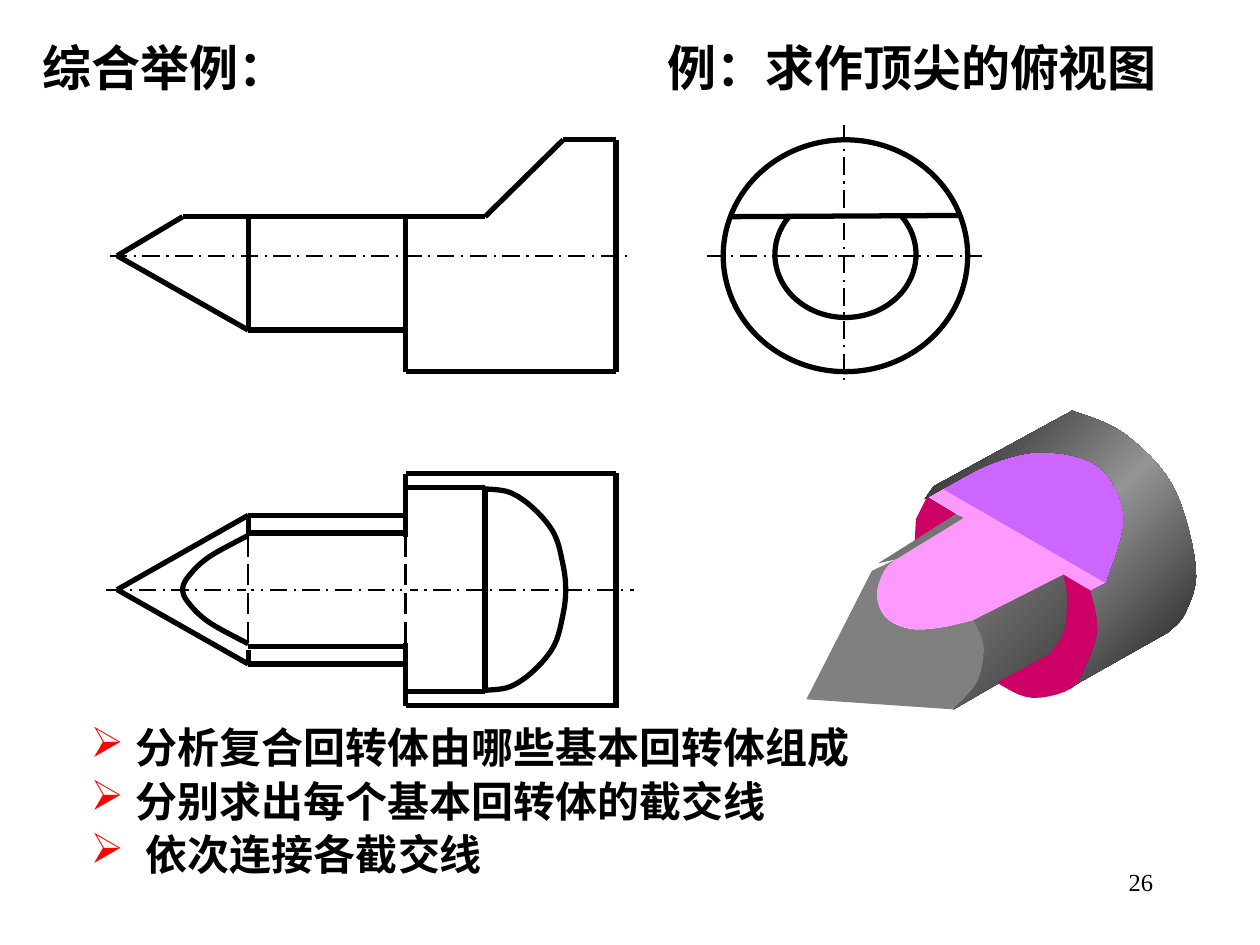
"""Builds the slide on drawing the top view of a lathe centre."""
from itertools import pairwise
from lxml.etree import SubElement
from pptx import Presentation
from pptx.dml.color import RGBColor
from pptx.enum.dml import MSO_LINE
from pptx.enum.shapes import MSO_CONNECTOR, MSO_SHAPE
from pptx.enum.text import MSO_ANCHOR, PP_ALIGN
from pptx.oxml.ns import qn
from pptx.util import Pt

PX = 9144
BLACK = RGBColor.from_string("000000")
WHITE = RGBColor.from_string("FFFFFF")
RED = RGBColor.from_string("FF0000")
GRAY = RGBColor.from_string("808080")
DARK_GRAY = RGBColor.from_string("747474")
PINK = RGBColor.from_string("FF99FF")
VIOLET = RGBColor.from_string("CC66FF")
CRIMSON = RGBColor.from_string("CC0066")
SHAFT_SHADE = ["7E7E7E", "3A3A3A"]
FLANGE_SHADE = ["1A1A1A", "949494", "1A1A1A"]
SANS, SERIF = "Noto Sans CJK SC", "Times New Roman"

EDGE = (BLACK, {"width": Pt(3)})
AXIS = (BLACK, {"width": Pt(1.25), "dash_style": MSO_LINE.LONG_DASH_DOT})
HIDDEN = (BLACK, {"width": Pt(1.5), "dash_style": MSO_LINE.LONG_DASH})
GAP = (WHITE, {"width": Pt(3)})
WIDE_GAP = (WHITE, {"width": Pt(4.5)})

TITLES = [((520, 25, 453, 57), "例：求作顶尖的俯视图"), ((24, 25, 240, 57), "综合举例：")]
STEPS = [("分析复合回转体由哪些基本回转体组成", SANS, 36),
         ("分别求出每个基本回转体的截交线", SANS, 36),
         ("依次连接各截交线", SERIF, 44)]
PAGE_NUMBER = "26"

TIP, CONE, SHAFT, SLOPE, END = 93, 197, 322, 385, 489
TOP_AXIS = 468
FRONT_VIEW = [
    (AXIS, [[(87, 203), (498, 203)]]),
    (EDGE, [[(145, 172), (TIP, 203), (CONE, 262), (SHAFT, 262)],
            [(CONE, 262), (CONE, 172)],
            [(SHAFT, 172), (SHAFT, 295), (END, 295), (END, 111), (447, 111),
             (SLOPE, 172), (145, 172)]]),
]
SIDE_CIRCLES = [(574, 111, 194, 184), (615, 152, 112, 100)]
CUT_AWAY = (615, 141, 112, 30)
SIDE_VIEW = [
    (AXIS, [[(670, 99), (670, 302)], [(561, 203), (779, 203)]]),
    (EDGE, [[(579, 172), (763, 171)]]),
]
TOP_HALF = [[(TIP, TOP_AXIS), (CONE, 409), (SHAFT, 409)], [(SHAFT, 376), (END, 376)],
            [(SHAFT, 387), (SLOPE, 387)], [(CONE, 423), (SHAFT, 423)],
            [(SHAFT, 387), (SHAFT, 426)]]
TOP_VIEW = [
    (EDGE, [[(CONE, 409), (CONE, 527)], [(SHAFT, 376), (SHAFT, 560)],
            [(END, 375), (END, 562)], [(SLOPE, 387), (SLOPE, 550)]]),
    (AXIS, [[(84, TOP_AXIS), (503, TOP_AXIS)]]),
    (WIDE_GAP, [[(SHAFT, 423), (SHAFT, 514)]]),
    (GAP, [[(CONE, 425), (CONE, 516)]]),
    (HIDDEN, [[(x, 425), (x, 516)] for x in (SHAFT, CONE)]),
    (EDGE, TOP_HALF),
    (EDGE, [[(x, 2 * TOP_AXIS - y) for x, y in chain] for chain in TOP_HALF]),
]
SECTION_HALVES = [
    [(SLOPE, 388), (405, 391), (424, 404), (440, 424), (447, 449), (449, TOP_AXIS)],
    [(CONE, 425), (166, 442), (150, 457), (145, TOP_AXIS)],
]

NOSE_FLAT = [(773, 492), (747, 498), (722, 499), (703, 490), (696, 472), (702, 453), (711, 444)]
CONE_BASE = [(773, 492), (781, 513), (776, 541), (757, 563)]
SHAFT_END = [(833, 519), (844, 502), (847, 476), (844, 456)]
STEP_ARC = [(878, 463), (892, 411), (873, 371), (830, 359), (789, 367), (748, 388)]
FLANGE = [(866, 469), (871, 503), (856, 542), (820, 554), (791, 542)]
RIM = [(851, 326), (892, 344), (931, 386), (949, 450), (941, 486), (927, 502)]
SOLID_FACES = [
    (GRAY, [NOSE_FLAT, [(692, 453), (640, 555)], CONE_BASE[::-1]]),
    (SHAFT_SHADE, [CONE_BASE, SHAFT_END]),
    (PINK, [NOSE_FLAT, [(765, 411), (735, 393)], [STEP_ARC[-1], STEP_ARC[0]],
            [FLANGE[0], SHAFT_END[-1]]]),
    (VIOLET, [STEP_ARC]),
    (CRIMSON, [SHAFT_END, FLANGE]),
    (CRIMSON, [[(736, 394), (759, 408)], [(726, 429), (727, 412)]]),
    (DARK_GRAY, [[NOSE_FLAT[-1], (765, 411)], [(759, 408), (697, 447)]]),
    (FLANGE_SHADE, [[(734, 396), (741, 386)], RIM, [(849, 546)], FLANGE[2::-1], STEP_ARC]),
]


def apply(target, values):
    for key, value in values.items():
        setattr(target, key, value)


def stroke(line, pen):
    color, values = pen
    line.color.rgb = color
    apply(line, values)


def draw_lines(shapes, view):
    for pen, chains in view:
        for start, end in (pair for chain in chains for pair in pairwise(chain)):
            edge = shapes.add_connector(MSO_CONNECTOR.STRAIGHT, *(v * PX for v in start + end))
            stroke(edge.line, pen)
            SubElement(edge._element.spPr, qn("a:effectLst"))


def draw_preset(shapes, kind, box):
    shape = shapes.add_shape(kind, *(v * PX for v in box))
    shape.shadow.inherit = False
    return shape


def draw_outline(shapes, points, close):
    start, *rest = [(round(x * PX), round(y * PX)) for x, y in points]
    builder = shapes.build_freeform(*start)
    builder.add_line_segments(rest, close=close)
    outline = builder.convert_to_shape()
    outline.shadow.inherit = False
    return outline


def smooth(knots, steps=6):
    if len(knots) < 3:
        return knots
    padded = [knots[0], *knots, knots[-1]]
    points = [knots[0]]
    for i in range(len(knots) - 1):
        for t in (step / steps for step in range(1, steps + 1)):
            points.append(tuple(
                b + t * (c - a + t * (2 * a - 5 * b + 4 * c - d + t * (3 * (b - c) + d - a))) / 2
                for a, b, c, d in zip(*padded[i:i + 4])))
    return points


def paint(face, color):
    if isinstance(color, RGBColor):
        face.fill.solid()
        face.fill.fore_color.rgb = color
    else:
        face.fill.gradient()
        face.fill.gradient_angle = 315
        stops = face._element.spPr.find(qn("a:gradFill")).find(qn("a:gsLst"))
        stops.clear()
        for index, shade in enumerate(color):
            position = index * 100000 // (len(color) - 1)
            stop = SubElement(stops, qn("a:gs"), pos=str(position))
            SubElement(stop, qn("a:srgbClr"), val=shade)
    face.line.fill.background()


def add_frame(shapes, box, **values):
    frame = shapes.add_textbox(*(v * PX for v in box)).text_frame
    apply(frame, {"word_wrap": True, **values})
    return frame


def write(paragraph, text, font, size, bold=False):
    run = paragraph.add_run()
    run.text = text
    apply(run.font, {"name": font, "size": Pt(size), "bold": bold})
    run.font.color.rgb = BLACK
    SubElement(run._r.get_or_add_rPr(), qn("a:ea"), typeface=SANS)


def add_bullet(paragraph, indent):
    props = paragraph._p.get_or_add_pPr()
    props.set("marL", str(indent * PX))
    props.set("indent", str(-indent * PX))
    SubElement(SubElement(props, qn("a:buClr")), qn("a:srgbClr"), val=str(RED))
    SubElement(props, qn("a:buChar"), char="➢")


def main():
    deck = Presentation()
    apply(deck, {"slide_width": 1000 * PX, "slide_height": 750 * PX})
    shapes = deck.slides.add_slide(deck.slide_layouts[6]).shapes

    number = add_frame(shapes, (717, 683, 208, 50)).paragraphs[0]
    number.alignment = PP_ALIGN.RIGHT
    write(number, PAGE_NUMBER, SERIF, 14)

    draw_lines(shapes, FRONT_VIEW)
    for box in SIDE_CIRCLES:
        circle = draw_preset(shapes, MSO_SHAPE.OVAL, box)
        circle.fill.background()
        stroke(circle.line, EDGE)
    paint(draw_preset(shapes, MSO_SHAPE.RECTANGLE, CUT_AWAY), WHITE)
    draw_lines(shapes, SIDE_VIEW + TOP_VIEW)
    for half in SECTION_HALVES:
        mirrored = [(x, 2 * TOP_AXIS - y) for x, y in half[-2::-1]]
        section = draw_outline(shapes, smooth(half + mirrored), close=False)
        section.fill.background()
        stroke(section.line, EDGE)
    for color, parts in SOLID_FACES:
        corners = [point for part in parts for point in smooth(part)]
        paint(draw_outline(shapes, corners, close=True), color)

    for box, title in TITLES:
        frame = add_frame(shapes, box, vertical_anchor=MSO_ANCHOR.MIDDLE)
        write(frame.paragraphs[0], title, SANS, 28, True)
    frame = add_frame(shapes, (62, 564, 655, 134), margin_top=9 * PX)
    for index, (step, font, indent) in enumerate(STEPS):
        paragraph = frame.add_paragraph() if index else frame.paragraphs[0]
        add_bullet(paragraph, indent)
        apply(paragraph, {"line_spacing": Pt(28.8), "space_before": Pt(1.5 if index else 0)})
        write(paragraph, step, font, 24, True)
    deck.save("out.pptx")


if __name__ == "__main__":
    main()
